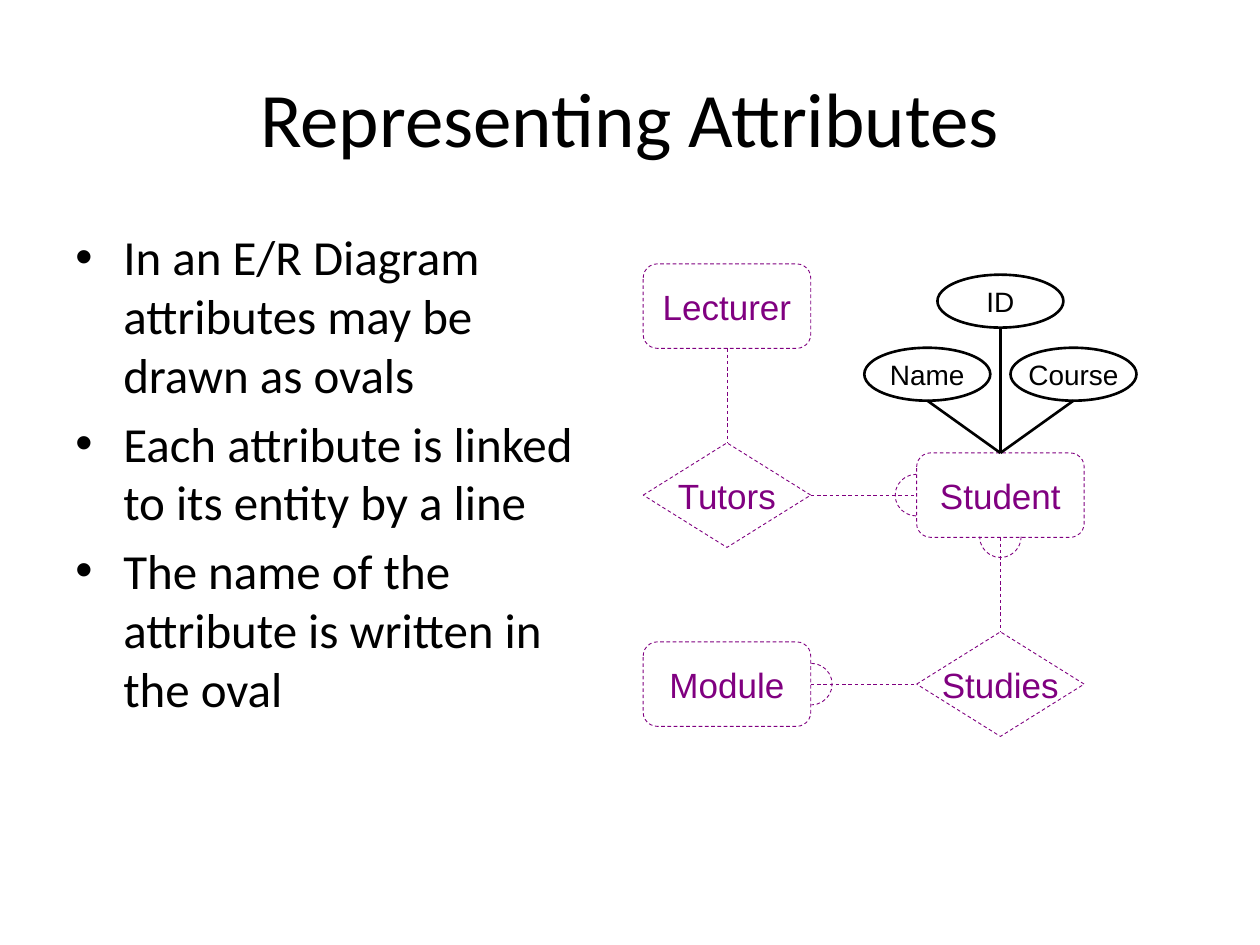
"""Build the slide on representing attributes in an E/R diagram."""
from pptx import Presentation
from pptx.dml.color import RGBColor
from pptx.enum.dml import MSO_LINE
from pptx.enum.shapes import MSO_CONNECTOR, MSO_SHAPE
from pptx.enum.text import MSO_ANCHOR, PP_ALIGN
from pptx.oxml.xmlchemy import OxmlElement
from pptx.util import Inches, Pt

BLACK = RGBColor(0x00, 0x00, 0x00)
PURPLE = RGBColor(0x80, 0x00, 0x80)
COLS = (5.77, 7.94)
ROWS = (2.43, 3.93, 5.43)
TOP, LEFT, BOTTOM, RIGHT = range(4)


def write(p, text, font="Calibri", size=28, color=BLACK, align=PP_ALIGN.LEFT):
    p.alignment = align
    r = p.add_run()
    r.text = text
    r.font.name = font
    r.font.size = Pt(size)
    r.font.color.rgb = color


def outline(s, color):
    s.line.color.rgb = color
    s.line.width = Pt(0.5 if color == PURPLE else 1.5)
    if color == PURPLE:
        s.line.dash_style = MSO_LINE.DASH
    s._element.spPr.append(OxmlElement("a:effectLst"))


prs = Presentation()
prs.slide_width, prs.slide_height = Inches(10), Inches(7.5)
slide = prs.slides.add_slide(prs.slide_layouts[5])

title = slide.shapes.title
title.left, title.top = Inches(0.5), Inches(0.3)
title.width, title.height = Inches(9), Inches(1.25)
title.text_frame.vertical_anchor = MSO_ANCHOR.MIDDLE
write(title.text_frame.paragraphs[0], "Representing Attributes", size=44,
      align=PP_ALIGN.CENTER)

body = slide.shapes.add_textbox(Inches(0.5), Inches(1.75), Inches(4.42), Inches(4.95))
tf = body.text_frame
tf.word_wrap = True
points = (
    "In an E/R Diagram attributes may be drawn as ovals",
    "Each attribute is linked to its entity by a line",
    "The name of the attribute is written in the oval",
)
for i, text in enumerate(points):
    p = tf.add_paragraph() if i else tf.paragraphs[0]
    write(p, text)
    p.space_before = Pt(5.6)
    pPr = p._p.get_or_add_pPr()
    pPr.set("marL", str(Inches(0.38)))
    pPr.set("indent", str(-Inches(0.38)))
    font = OxmlElement("a:buFont")
    font.set("typeface", "Arial")
    bullet = OxmlElement("a:buChar")
    bullet.set("char", "•")
    pPr.extend((font, bullet))

ENTITY = (MSO_SHAPE.ROUNDED_RECTANGLE, 1.33, 0.67, PURPLE, 20)
RELATION = (MSO_SHAPE.DIAMOND, 1.33, 0.83, PURPLE, 20)
ATTRIBUTE = (MSO_SHAPE.OVAL, 1, 0.42, BLACK, 16)
nodes = {}
for name, style, x, y in (
    ("Student", ENTITY, COLS[1], ROWS[1]),
    ("Lecturer", ENTITY, COLS[0], ROWS[0]),
    ("Module", ENTITY, COLS[0], ROWS[2]),
    ("Tutors", RELATION, COLS[0], ROWS[1]),
    ("Studies", RELATION, COLS[1], ROWS[2]),
    ("ID", ATTRIBUTE, COLS[1], 2.39),
    ("Course", ATTRIBUTE, COLS[1] + 0.58, 2.97),
    ("Name", ATTRIBUTE, COLS[1] - 0.58, 2.97),
):
    kind, w, h, color, size = style
    s = slide.shapes.add_shape(kind, Inches(x - w / 2), Inches(y - h / 2),
                               Inches(w), Inches(h))
    s.fill.background()
    outline(s, color)
    s.text_frame.word_wrap = False
    s.text_frame.vertical_anchor = MSO_ANCHOR.MIDDLE
    write(s.text_frame.paragraphs[0], name, font="Arial", size=size, color=color,
          align=PP_ALIGN.CENTER)
    nodes[name] = s

for start, start_side, end, end_side, color in (
    ("Lecturer", BOTTOM, "Tutors", TOP, PURPLE),
    ("Tutors", RIGHT, "Student", LEFT, PURPLE),
    ("Student", BOTTOM, "Studies", TOP, PURPLE),
    ("Module", RIGHT, "Studies", LEFT, PURPLE),
    ("Student", TOP, "Course", BOTTOM, BLACK),
    ("Student", TOP, "ID", BOTTOM, BLACK),
    ("Student", TOP, "Name", BOTTOM, BLACK),
):
    s = slide.shapes.add_connector(MSO_CONNECTOR.STRAIGHT, 0, 0, 0, 0)
    s.begin_connect(nodes[start], start_side)
    # An oval has eight connection sites, so its bottom is site 4.
    s.end_connect(nodes[end], end_side)
    if color == BLACK:
        s._element.nvCxnSpPr.cNvCxnSpPr.endCxn.set("idx", "4")
    outline(s, color)

for x, y, angle in (
    (COLS[0] + 0.67, ROWS[2], 270),
    (COLS[1] - 0.67, ROWS[1], 90),
    (COLS[1], ROWS[1] + 0.33, 0),
):
    s = slide.shapes.add_shape(MSO_SHAPE.ARC, Inches(x - 0.165), Inches(y - 0.165),
                               Inches(0.33), Inches(0.33))
    s.adjustments[0] = angle * 0.6
    s.adjustments[1] = (angle + 180) % 360 * 0.6
    s.fill.background()
    outline(s, PURPLE)

prs.save("out.pptx")
